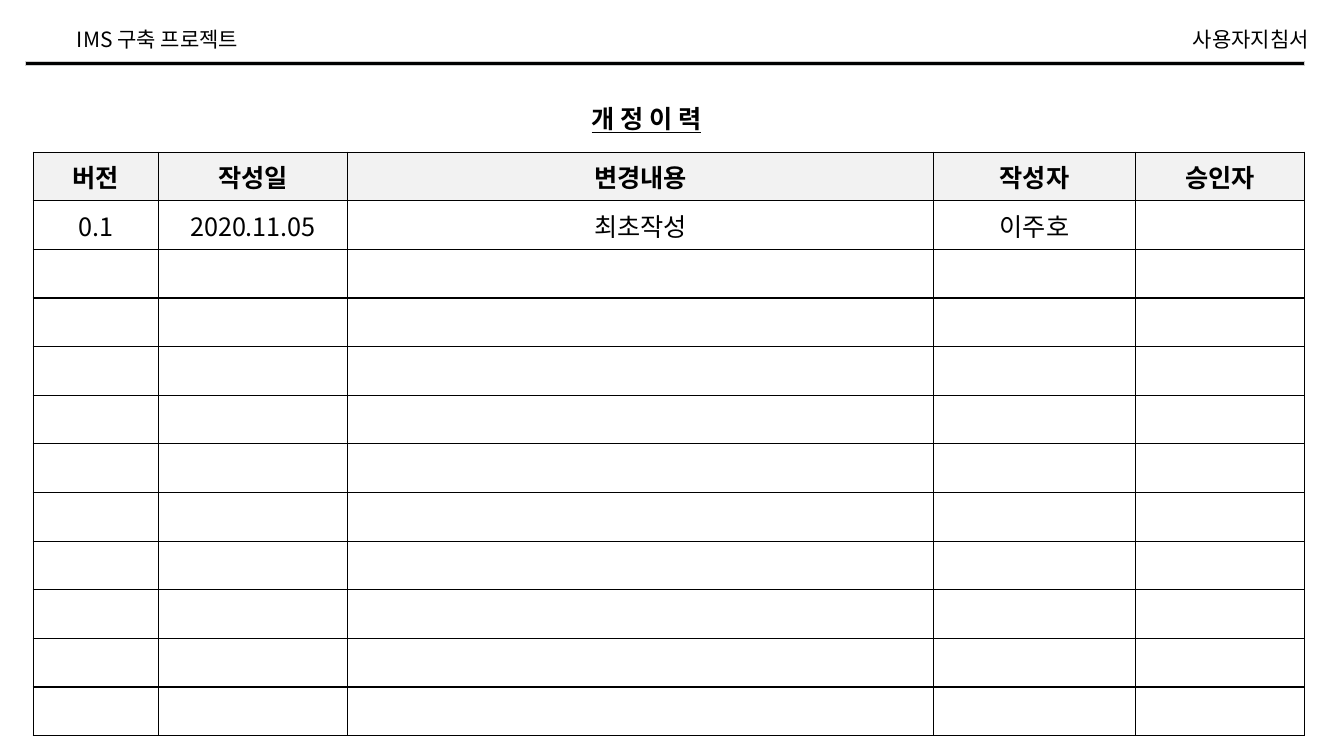
from pptx import Presentation
from pptx.dml.color import RGBColor
from pptx.enum import shapes, text
from pptx.oxml import ns, parse_xml
from pptx.util import Inches, Pt
from lxml import etree

PROJECT = "IMS 구축 프로젝트"
DOCUMENT = "사용자지침서"
HEADING = "개 정 이 력"
COLUMNS = [("버전", 1.24), ("작성일", 1.88), ("변경내용", 5.81),
           ("작성자", 2), ("승인자", 1.68)]
REVISIONS = [("0.1", "2020.11.05", "최초작성", "이주호", "")]
ROW_COUNT = 12

THEME = {
    "font": "Noto Sans CJK KR",
    "ink": "000000", "rule_edge": "D0CECE",
    "header_fill": "F2F2F2", "body_fill": "FFFFFF",
    "running_size": 15, "main_size": 18, "border": 1,
}


def write(frame, words, size=THEME["main_size"], bold=False, underline=False,
          align=text.PP_ALIGN.LEFT):
    """Put one formatted line of text into a text frame."""
    line = frame.paragraphs[0]
    line.alignment = align
    run = line.add_run()
    run.text = words
    font = run.font
    font.name, font.size = THEME["font"], Pt(size)
    font.bold, font.underline = bold, underline
    font.color.rgb = RGBColor.from_string(THEME["ink"])
    east_asian = etree.SubElement(run._r.get_or_add_rPr(), ns.qn("a:ea"))
    east_asian.set("typeface", THEME["font"])


def add_label(slide, words, box, wrap=False, **style):
    """Add a text box that grows with its text."""
    frame = slide.shapes.add_textbox(*map(Inches, box)).text_frame
    frame.word_wrap = wrap
    frame.auto_size = text.MSO_AUTO_SIZE.SHAPE_TO_FIT_TEXT
    write(frame, words, **style)


def add_rule(slide):
    """Draw the bar under the running header."""
    rule = slide.shapes.add_shape(shapes.MSO_SHAPE.RECTANGLE,
                                  *map(Inches, (0.25, 0.61, 12.69, 0.04)))
    rule.shadow.inherit = False
    rule.fill.solid()
    rule.fill.fore_color.rgb = RGBColor.from_string(THEME["ink"])
    rule.line.color.rgb = RGBColor.from_string(THEME["rule_edge"])
    rule.line.width = Pt(0.3)


def set_borders(cell):
    """Give a cell the same solid line on all four sides."""
    properties = cell._tc.get_or_add_tcPr()
    for place, side in enumerate(("lnL", "lnR", "lnT", "lnB")):
        properties.insert(place, parse_xml(
            f'<a:{side} {ns.nsdecls("a")} w="{Pt(THEME["border"])}"><a:solidFill>'
            f'<a:srgbClr val="{THEME["ink"]}"/></a:solidFill></a:{side}>'))


def add_history(slide):
    """Build the revision table, leaving unused rows blank."""
    left, top, width, height = map(Inches, (0.33, 1.51, 12.62, 5.79))
    history = slide.shapes.add_table(ROW_COUNT, len(COLUMNS),
                                     left, top, width, height).table
    for column, (_, column_width) in zip(history.columns, COLUMNS):
        column.width = Inches(column_width)
    entries = [[title for title, _ in COLUMNS], *REVISIONS]
    for r, row in enumerate(history.rows):
        row.height = height // ROW_COUNT
        is_header = r == 0
        for c, cell in enumerate(row.cells):
            cell.vertical_anchor = text.MSO_ANCHOR.MIDDLE
            cell.fill.solid()
            cell.fill.fore_color.rgb = RGBColor.from_string(
                THEME["header_fill" if is_header else "body_fill"])
            set_borders(cell)
            if r < len(entries) and entries[r][c]:
                write(cell.text_frame, entries[r][c], bold=is_header,
                      align=text.PP_ALIGN.CENTER)


deck = Presentation()
deck.slide_width, deck.slide_height = Inches(13.33), Inches(7.5)
page = deck.slides.add_slide(deck.slide_layouts[6])
add_rule(page)
for words, left, width in ((PROJECT, 0.49, 1.97), (DOCUMENT, 11.62, 1.46)):
    add_label(page, words, (left, 0.21, width, 0.35),
              size=THEME["running_size"], align=text.PP_ALIGN.RIGHT)
add_label(page, HEADING, (5.77, 0.98, 1.67, 0.4), wrap=True,
          bold=True, underline=True)
add_history(page)
deck.save("out.pptx")
